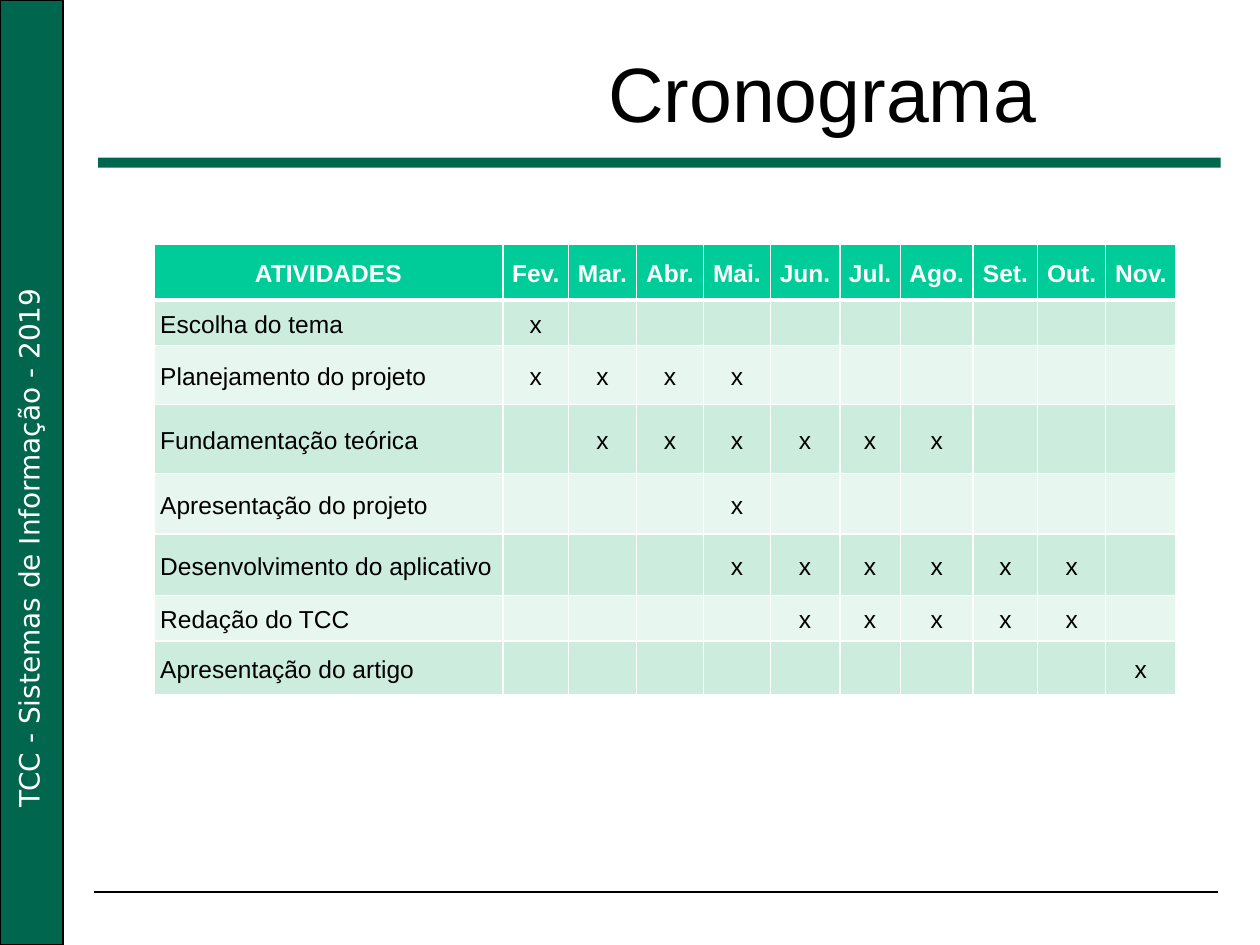
import dataclasses
import typing

import lxml.etree
import pptx
import pptx.dml.color
import pptx.enum.shapes
import pptx.enum.text
import pptx.oxml.ns
import pptx.util

Cm = pptx.util.Cm
Pt = pptx.util.Pt
ALIGN = pptx.enum.text.PP_ALIGN
MIDDLE = pptx.enum.text.MSO_ANCHOR.MIDDLE
qn = pptx.oxml.ns.qn

COLORS = {
    "green": "00664D",
    "header": "00CC99",
    "odd row": "CCECDE",
    "even row": "E7F6EF",
    "white": "FFFFFF",
    "black": "000000",
}

MONTHS = ["Fev.", "Mar.", "Abr.", "Mai.", "Jun.", "Jul.", "Ago.", "Set.", "Out.", "Nov."]
ACTIVITY_WIDTH = 7.04
MONTH_WIDTHS = [1.32, 1.37, 1.35, 1.35, 1.4, 1.22, 1.47, 1.3, 1.37, 1.42]
HEADER_HEIGHT = 1.12


@dataclasses.dataclass
class Activity:
    name: str
    first_month: str
    last_month: str
    height: float

    def marks(self) -> list[str]:
        first, last = MONTHS.index(self.first_month), MONTHS.index(self.last_month)
        return ["x" if first <= month <= last else "" for month in range(len(MONTHS))]


@dataclasses.dataclass
class Style:
    size: float
    color: str
    font: str = "Arial"
    bold: bool = False


ACTIVITIES = [
    Activity("Escolha do tema", "Fev.", "Fev.", 0.91),
    Activity("Planejamento do projeto", "Fev.", "Mai.", 1.19),
    Activity("Fundamentação teórica", "Mar.", "Ago.", 1.4),
    Activity("Apresentação do projeto", "Mai.", "Mai.", 1.22),
    Activity("Desenvolvimento do aplicativo", "Mai.", "Out.", 1.24),
    Activity("Redação do TCC", "Jun.", "Out.", 0.91),
    Activity("Apresentação do artigo", "Nov.", "Nov.", 1.09),
]


def rgb(name: str) -> pptx.dml.color.RGBColor:
    return pptx.dml.color.RGBColor.from_string(COLORS[name])


def write(frame: typing.Any, text: str, style: Style, alignment: typing.Any) -> None:
    frame.text = text
    paragraph = frame.paragraphs[0]
    paragraph.alignment = alignment
    for run in paragraph.runs:
        run.font.size = Pt(style.size)
        run.font.name = style.font
        run.font.bold = style.bold
        run.font.color.rgb = rgb(style.color)


def add_bar(slide: typing.Any, left: float, top: float, width: float, height: float,
            outlined: bool) -> None:
    bar = slide.shapes.add_shape(pptx.enum.shapes.MSO_SHAPE.RECTANGLE,
                                 Cm(left), Cm(top), Cm(width), Cm(height))
    bar.shadow.inherit = False
    bar.fill.solid()
    bar.fill.fore_color.rgb = rgb("green")
    if outlined:
        bar.line.color.rgb = rgb("black")
        bar.line.width = Pt(0.75)
    else:
        bar.line.fill.background()


def add_rule(slide: typing.Any, left: float, right: float, top: float) -> None:
    rule = slide.shapes.add_connector(pptx.enum.shapes.MSO_CONNECTOR.STRAIGHT,
                                      Cm(left), Cm(top), Cm(right), Cm(top))
    rule.line.color.rgb = rgb("black")
    rule.line.width = Pt(0.75)
    lxml.etree.SubElement(rule._element.spPr, qn("a:effectLst"))


def set_border(cell: typing.Any, side: str, points: float) -> None:
    border = lxml.etree.SubElement(cell._tc.get_or_add_tcPr(), qn(f"a:ln{side}"),
                                   w=str(Pt(points)))
    fill = lxml.etree.SubElement(border, qn("a:solidFill"))
    lxml.etree.SubElement(fill, qn("a:srgbClr"), val=COLORS["white"])


def fill_cell(cell: typing.Any, text: str, row: int, column: int) -> None:
    # The header is set off by a thicker line below it
    set_border(cell, "L", 1)
    set_border(cell, "R", 1)
    set_border(cell, "T", 3 if row == 1 else 1)
    set_border(cell, "B", 3 if row == 0 else 1)
    cell.fill.solid()
    cell.fill.fore_color.rgb = rgb(
        "header" if row == 0 else "odd row" if row % 2 else "even row")
    cell.margin_left = cell.margin_right = Cm(0.13)
    cell.margin_top = cell.margin_bottom = 0
    cell.vertical_anchor = MIDDLE
    style = Style(14, "white", bold=True) if row == 0 else Style(14, "black")
    is_name = row > 0 and column == 0
    write(cell.text_frame, text, style, ALIGN.LEFT if is_name else ALIGN.CENTER)
    cell.text_frame.paragraphs[0].line_spacing = 1.15


def add_schedule(slide: typing.Any, left: float, top: float) -> None:
    lines = [["ATIVIDADES", *MONTHS]]
    lines += [[activity.name, *activity.marks()] for activity in ACTIVITIES]
    widths = [ACTIVITY_WIDTH, *MONTH_WIDTHS]
    heights = [HEADER_HEIGHT, *(activity.height for activity in ACTIVITIES)]
    schedule = slide.shapes.add_table(len(heights), len(widths), Cm(left), Cm(top),
                                      Cm(sum(widths)), Cm(sum(heights))).table
    for column, width in zip(schedule.columns, widths):
        column.width = Cm(width)
    for row, height in zip(schedule.rows, heights):
        row.height = Cm(height)
    for row, line in enumerate(lines):
        for column, text in enumerate(line):
            fill_cell(schedule.cell(row, column), text, row, column)


def main() -> None:
    presentation = pptx.Presentation()
    presentation.slide_width = Cm(25.4)
    presentation.slide_height = Cm(19.05)
    slide = presentation.slides.add_slide(presentation.slide_layouts[6])

    # Side band with the course name reading upwards
    add_bar(slide, 0, 0, 1.27, 19.05, outlined=True)
    course = slide.shapes.add_textbox(Cm(-5.11), Cm(10.36), Cm(11.38), Cm(0.94))
    course.rotation = 270
    course.text_frame.word_wrap = False
    course.text_frame.auto_size = pptx.enum.text.MSO_AUTO_SIZE.SHAPE_TO_FIT_TEXT
    write(course.text_frame, "TCC - Sistemas de Informação - 2019",
          Style(16, "white", font="DejaVu Sans"), ALIGN.LEFT)

    # Rules below the title and at the foot
    add_rule(slide, 1.9, 24.56, 17.98)
    add_bar(slide, 1.98, 3.18, 22.63, 0.2, outlined=False)

    # Title
    title = slide.shapes.add_textbox(Cm(8.74), Cm(0.58), Cm(15.67), Cm(2.54))
    title.text_frame.word_wrap = True
    title.text_frame.vertical_anchor = MIDDLE
    write(title.text_frame, "Cronograma", Style(44, "black"), ALIGN.CENTER)

    # Schedule of activities by month
    add_schedule(slide, 3.1, 4.93)

    presentation.save("out.pptx")


if __name__ == "__main__":
    main()
